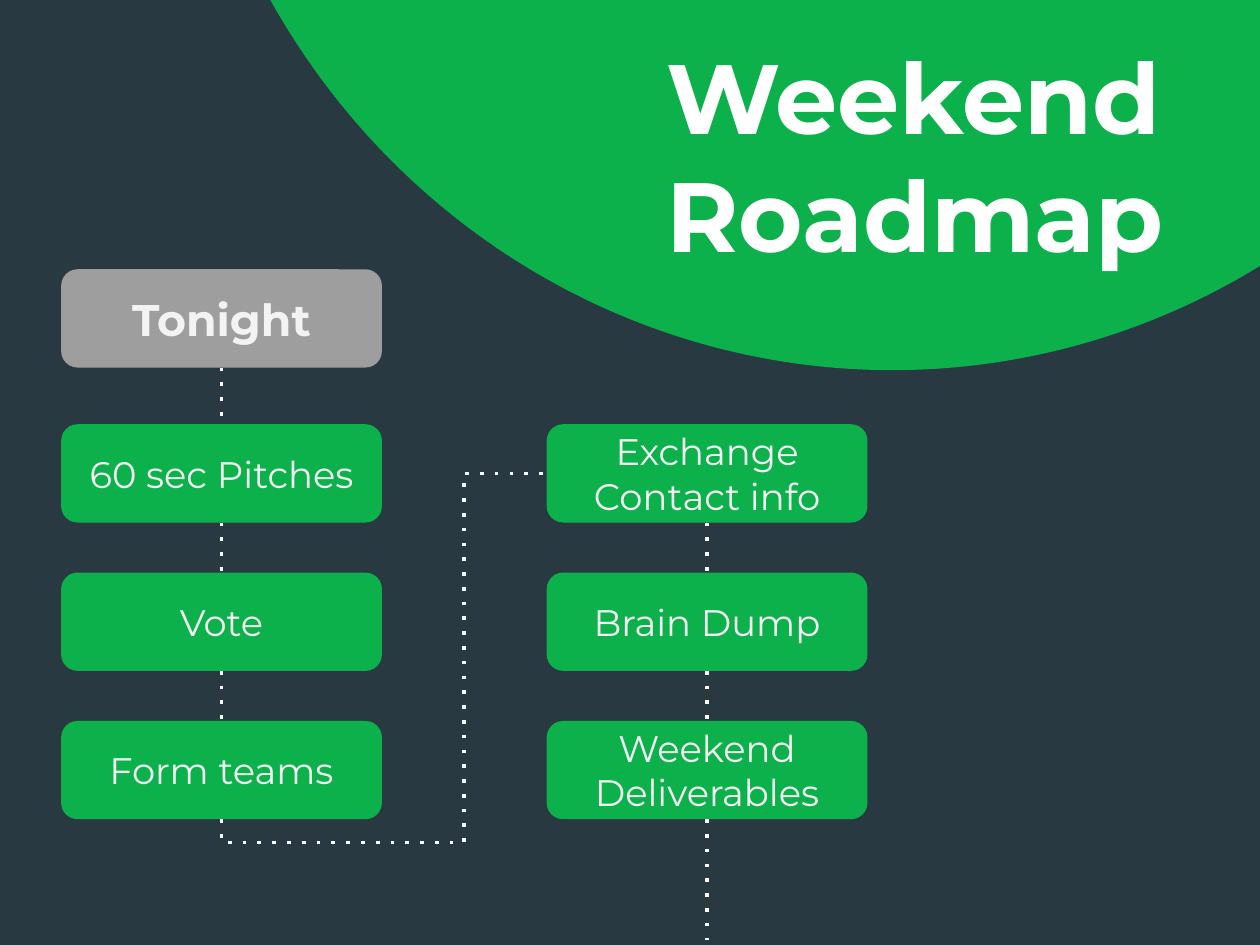
from lxml.etree import SubElement
from pptx import Presentation
from pptx.dml.color import RGBColor
from pptx.enum.shapes import MSO_CONNECTOR, MSO_SHAPE
from pptx.enum.text import MSO_ANCHOR, PP_ALIGN
from pptx.oxml.ns import qn
from pptx.util import Inches, Pt

TITLE = "Weekend Roadmap"
HEADING = "Tonight"
COLUMNS = [
    ["60 sec Pitches", "Vote", "Form teams"],
    ["Exchange Contact info", "Brain Dump", "Weekend Deliverables"],
]
FONT = "Montserrat"
NAVY, GREEN, GRAY, WHITE, PALE = "293942", "0DB14B", "9E9E9E", "FFFFFF", "F3F3F3"

BOX_WIDTH, BOX_HEIGHT = 3.62, 1.11
FIRST_LEFT, COLUMN_STEP = 0.69, 5.48
HEADING_TOP, FIRST_TOP, ROW_STEP = 3.04, 4.79, 1.675
TRAIL_END = 10.61
TURN_BELOW, TURN_ACROSS = -0.067, 0.746
BOTTOM, TOP, LEFT = 2, 0, 1


def color(value):
    return RGBColor.from_string(value)


def write(shape, text, size, text_color, bold, align, inset):
    frame = shape.text_frame
    frame.word_wrap = True
    frame.vertical_anchor = MSO_ANCHOR.MIDDLE
    frame.margin_left = frame.margin_right = Inches(inset)
    frame.margin_top = frame.margin_bottom = Inches(inset)
    frame.text = text
    para = frame.paragraphs[0]
    para.alignment = align
    font = para.runs[0].font
    font.name, font.size, font.bold = FONT, Pt(size), bold
    font.color.rgb = color(text_color)


def add_filled(page, kind, left, top, width, height, fill):
    shape = page.shapes.add_shape(
        kind, Inches(left), Inches(top), Inches(width), Inches(height))
    shape.shadow.inherit = False
    shape.fill.solid()
    shape.fill.fore_color.rgb = color(fill)
    shape.line.fill.background()
    return shape


def add_step(page, text, left, top, fill=GREEN, size=30, bold=False):
    box = add_filled(page, MSO_SHAPE.ROUNDED_RECTANGLE,
                     left, top, BOX_WIDTH, BOX_HEIGHT, fill)
    box.adjustments[0] = 0.167
    write(box, text, size, PALE, bold, PP_ALIGN.CENTER, 0.1)
    return box


def add_dotted(page, kind, start, end=None, end_site=TOP):
    x = start.left + start.width // 2
    link = page.shapes.add_connector(
        kind, x, start.top + start.height, x, Inches(TRAIL_END))
    link.begin_connect(start, BOTTOM)
    if end is not None:
        link.end_connect(end, end_site)
    link.line.width = Pt(3)
    link.line.color.rgb = color(WHITE)
    properties = link._element.spPr
    SubElement(properties.find(qn("a:ln")), qn("a:prstDash"), val="dot")
    SubElement(properties, qn("a:effectLst"))
    return link


def add_column_link(page, start, end):
    link = add_dotted(page, MSO_CONNECTOR.ELBOW, start, end, LEFT)
    across, rise = link.width, link.height
    shift = (rise - across) // 2
    link.left, link.top = link.left - shift, link.top + shift
    link.width, link.height = rise, across
    properties = link._element.spPr
    frame = properties.find(qn("a:xfrm"))
    frame.attrib.pop("flipV", None)
    frame.set("rot", str(270 * 60000))
    geometry = properties.find(qn("a:prstGeom"))
    geometry.set("prst", "bentConnector4")
    guides = geometry.find(qn("a:avLst"))
    for number, share in enumerate((TURN_BELOW, TURN_ACROSS), 1):
        SubElement(guides, qn("a:gd"), name=f"adj{number}",
                   fmla=f"val {round(share * 100000)}")


def main():
    deck = Presentation()
    deck.slide_width, deck.slide_height = Inches(14.22), Inches(10.67)
    page = deck.slides.add_slide(deck.slide_layouts[6])
    page.background.fill.solid()
    page.background.fill.fore_color.rgb = color(NAVY)

    circle = add_filled(page, MSO_SHAPE.OVAL, 2.05, -12.38, 16.04, 16.49, GREEN)
    circle.line.color.rgb = color(GREEN)
    circle.line.width = Pt(10)
    title = page.shapes.add_textbox(
        Inches(7.46), Inches(0.26), Inches(6.49), Inches(2.97))
    write(title, TITLE, 80, WHITE, True, PP_ALIGN.LEFT, 0.06)

    heading = add_step(page, HEADING, FIRST_LEFT, HEADING_TOP, GRAY, 36, True)
    first, second = [
        [add_step(page, text, FIRST_LEFT + column * COLUMN_STEP,
                  FIRST_TOP + row * ROW_STEP)
         for row, text in enumerate(texts)]
        for column, texts in enumerate(COLUMNS)
    ]
    for chain in ([heading] + first, second):
        for upper, lower in zip(chain, chain[1:]):
            add_dotted(page, MSO_CONNECTOR.STRAIGHT, upper, lower)
    add_column_link(page, first[-1], second[0])
    add_dotted(page, MSO_CONNECTOR.STRAIGHT, second[-1])

    deck.save("out.pptx")


if __name__ == "__main__":
    main()
